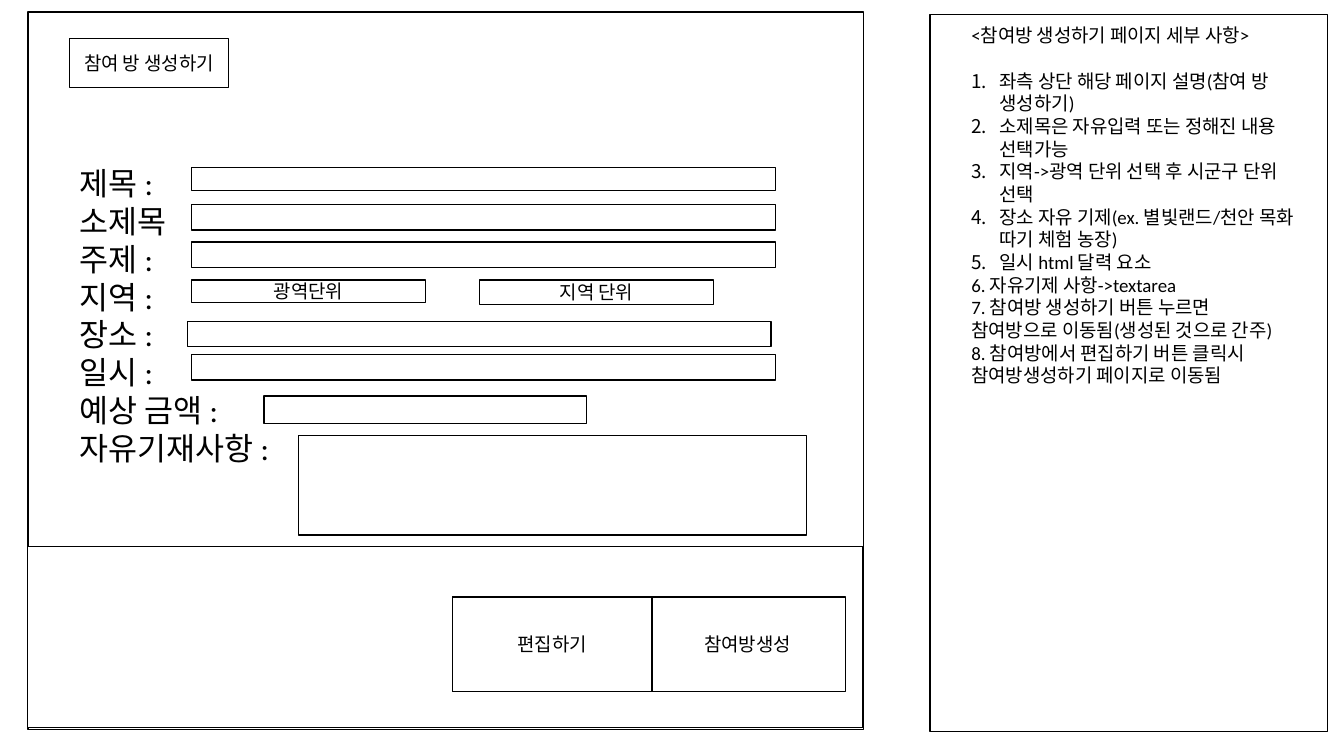
from dataclasses import dataclass

from lxml import etree
from pptx import Presentation
from pptx.dml.color import RGBColor
from pptx.enum.shapes import MSO_SHAPE
from pptx.enum.text import MSO_ANCHOR, MSO_AUTO_SIZE, PP_ALIGN
from pptx.oxml.ns import qn
from pptx.slide import Slide
from pptx.text.text import TextFrame, _Paragraph
from pptx.util import Cm, Pt

RECTANGLE = MSO_SHAPE.RECTANGLE
MIDDLE = MSO_ANCHOR.MIDDLE
CENTER = PP_ALIGN.CENTER
GROW = MSO_AUTO_SIZE.SHAPE_TO_FIT_TEXT


@dataclass(frozen=True)
class Theme:
    ink: RGBColor = RGBColor(0x00, 0x00, 0x00)
    paper: RGBColor = RGBColor(0xFF, 0xFF, 0xFF)
    font: str = "Calibri"
    label_size: float = 22.5
    body_size: float = 13.5
    outline: float = 1
    heading_gap: float = 16.2
    number_indent: float = 0.71


@dataclass(frozen=True)
class Panel:
    """A bordered rectangle, measured in centimetres."""
    left: float
    top: float
    width: float
    height: float
    caption: str = ""


@dataclass(frozen=True)
class Note:
    text: str
    numbered: bool = False
    gap_after: float = 0


THEME = Theme()
FIELD_LEFT, FIELD_WIDTH, FIELD_HEIGHT = 4.83, 14.71, 0.64
REGION_WIDTH = 5.89

# Page frames and buttons, from back to front
FRAMES = [
    Panel(0.71, 0.3, 21.06, 18.08),
    Panel(0.69, 13.77, 21.06, 4.57),
    Panel(23.44, 0.36, 10.01, 18.08),
]
BUTTONS = [
    Panel(1.75, 0.97, 4.01, 1.24, "참여 방 생성하기"),
    Panel(11.4, 15.04, 9.91, 2.39),
    Panel(11.4, 15.04, 5.03, 2.39, "편집하기"),
]

# Input fields of the form
FIELDS = [
    Panel(FIELD_LEFT, 4.22, FIELD_WIDTH, 0.58),
    Panel(FIELD_LEFT, 5.16, FIELD_WIDTH, FIELD_HEIGHT),
    Panel(FIELD_LEFT, 6.1, FIELD_WIDTH, FIELD_HEIGHT),
    Panel(FIELD_LEFT, 7.06, REGION_WIDTH, 0.56, "광역단위"),
    Panel(12.09, 7.06, REGION_WIDTH, 0.61, "지역 단위"),
    Panel(4.72, 8.1, FIELD_WIDTH, FIELD_HEIGHT),
    Panel(FIELD_LEFT, 8.94, FIELD_WIDTH, FIELD_HEIGHT),
    Panel(6.65, 9.98, 8.13, 0.69),
    Panel(7.52, 10.97, 12.8, 2.51),
]

LABELS = [Note(text) for text in (
    "제목 :", "소제목", "주제 :", "지역 :", "장소 :", "일시 :",
    "예상 금액 :", "자유기재사항 :",
)]

NOTES = [
    Note("<참여방 생성하기 페이지 세부 사항>", gap_after=THEME.heading_gap),
    Note("좌측 상단 해당 페이지 설명(참여 방 생성하기)", numbered=True),
    Note("소제목은 자유입력 또는 정해진 내용 선택가능", numbered=True),
    Note("지역->광역 단위 선택 후 시군구 단위 선택", numbered=True),
    Note("장소 자유 기제(ex. 별빛랜드/천안 목화 따기 체험 농장)", numbered=True),
    Note("일시 html 달력 요소", numbered=True),
    Note("6. 자유기제 사항->textarea"),
    Note("7. 참여방 생성하기 버튼 누르면 참여방으로 이동됨(생성된 것으로 간주)"),
    Note("8. 참여방에서 편집하기 버튼 클릭시 참여방생성하기 페이지로 이동됨"),
]


def add_span(para: _Paragraph, text: str, size: float) -> None:
    span = para.add_run()
    span.text = text
    span.font.name = THEME.font
    span.font.size = Pt(size)
    span.font.color.rgb = THEME.ink


def number_paragraph(para: _Paragraph) -> None:
    """Give the paragraph an automatic number and a hanging indent."""
    properties = para._p.get_or_add_pPr()
    indent = int(Cm(THEME.number_indent))
    properties.set("marL", str(indent))
    properties.set("indent", str(-indent))
    etree.SubElement(properties, qn("a:buAutoNum"), type="arabicPeriod")


def fill_text(frame: TextFrame, notes: list[Note], size: float) -> None:
    for index, note in enumerate(notes):
        para = frame.add_paragraph() if index else frame.paragraphs[0]
        add_span(para, note.text, size)
        if note.gap_after:
            para.space_after = Pt(note.gap_after)
        if note.numbered:
            number_paragraph(para)


def draw_panel(page: Slide, panel: Panel) -> None:
    box = page.shapes.add_shape(RECTANGLE, Cm(panel.left), Cm(panel.top),
                                Cm(panel.width), Cm(panel.height))
    box.shadow.inherit = False
    box.fill.solid()
    box.fill.fore_color.rgb = THEME.paper
    box.line.color.rgb = THEME.ink
    box.line.width = Pt(THEME.outline)
    if panel.caption:
        frame = box.text_frame
        frame.vertical_anchor = MIDDLE
        frame.paragraphs[0].alignment = CENTER
        fill_text(frame, [Note(panel.caption)], THEME.body_size)


def draw_text(page: Slide, left: float, top: float, width: float, height: float,
              notes: list[Note], size: float) -> None:
    box = page.shapes.add_textbox(Cm(left), Cm(top), Cm(width), Cm(height))
    box.text_frame.word_wrap = True
    box.text_frame.auto_size = GROW
    fill_text(box.text_frame, notes, size)


def main() -> None:
    deck = Presentation()
    deck.slide_width, deck.slide_height = Cm(33.87), Cm(19.05)
    page = deck.slides.add_slide(deck.slide_layouts[6])

    # Frames and form labels
    for panel in FRAMES:
        draw_panel(page, panel)
    draw_text(page, 1.75, 4.01, 18.34, 9.65, LABELS, THEME.label_size)

    # Page title and buttons
    for panel in BUTTONS:
        draw_panel(page, panel)
    draw_text(page, 17.5, 15.82, 3.45, 0.84, [Note("참여방생성")], THEME.body_size)

    # Page details on the right
    draw_text(page, 24.23, 0.48, 8.74, 10.06, NOTES, THEME.body_size)

    # Input fields
    for panel in FIELDS:
        draw_panel(page, panel)

    deck.save("out.pptx")


if __name__ == "__main__":
    main()
